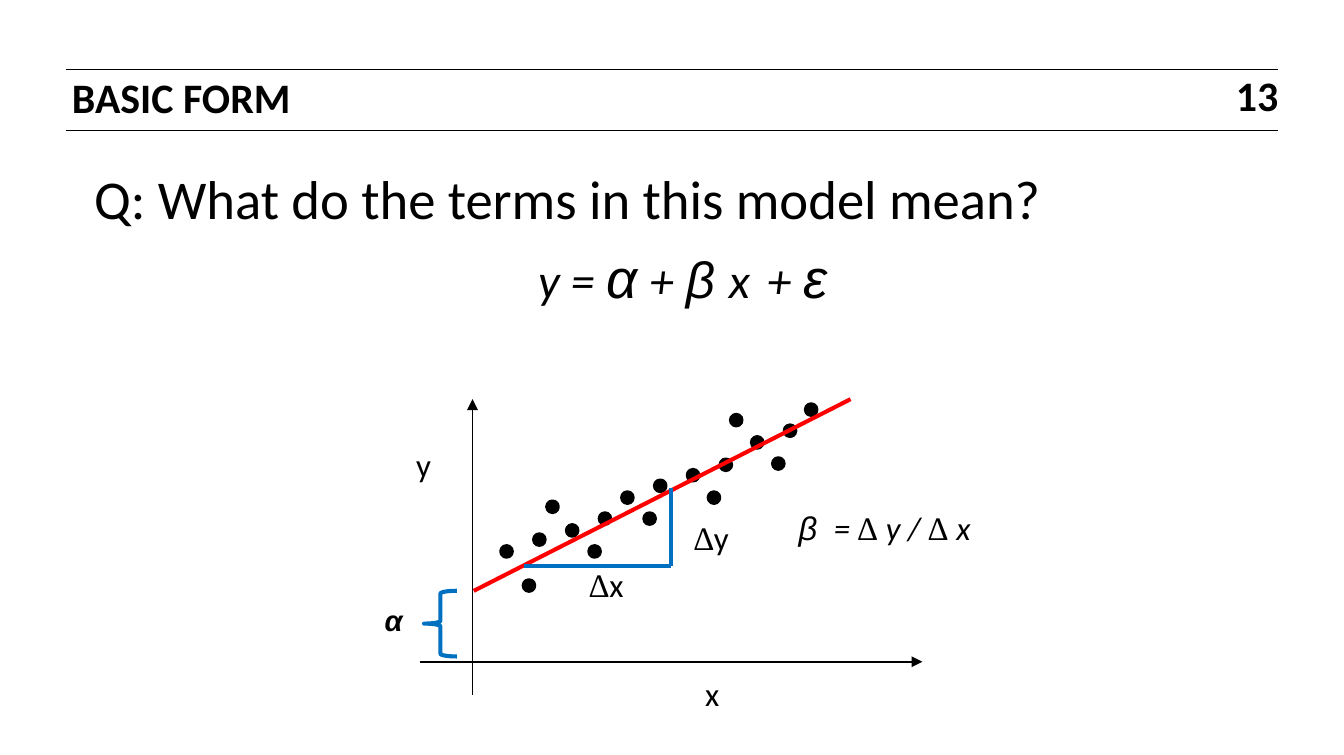
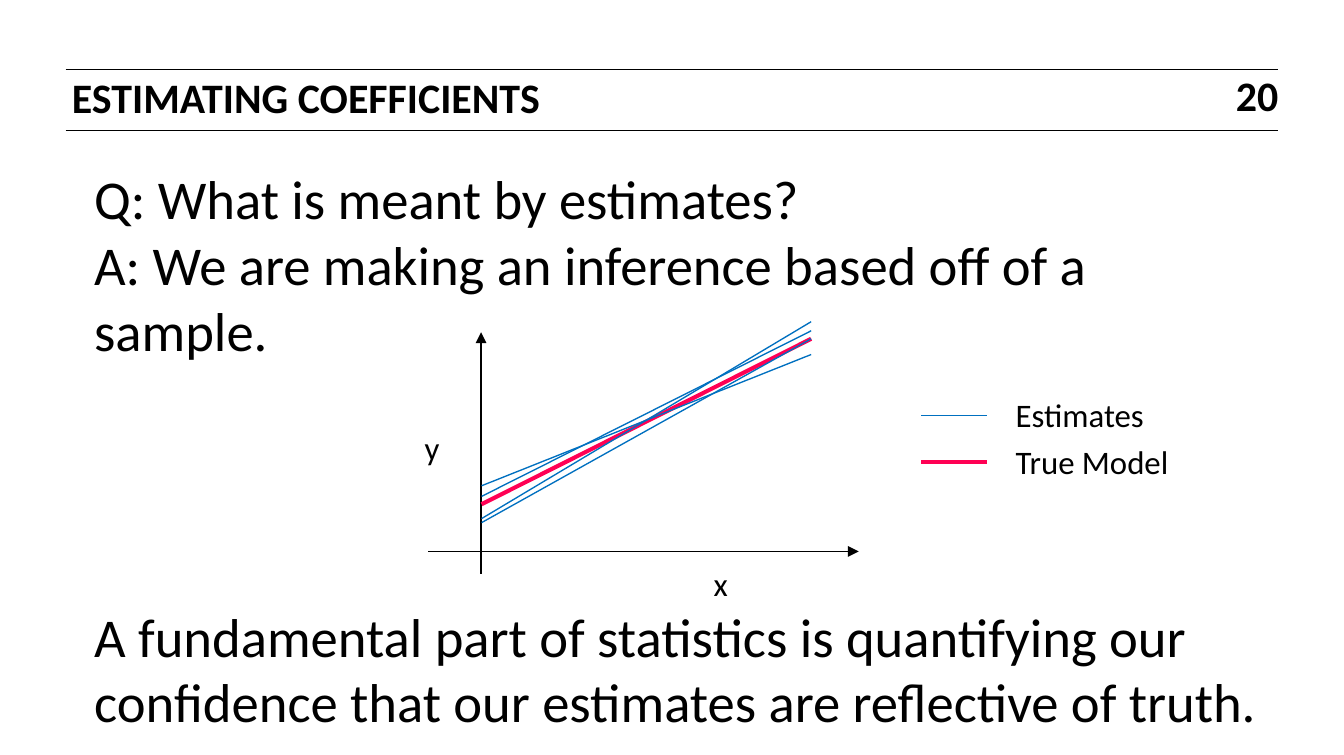
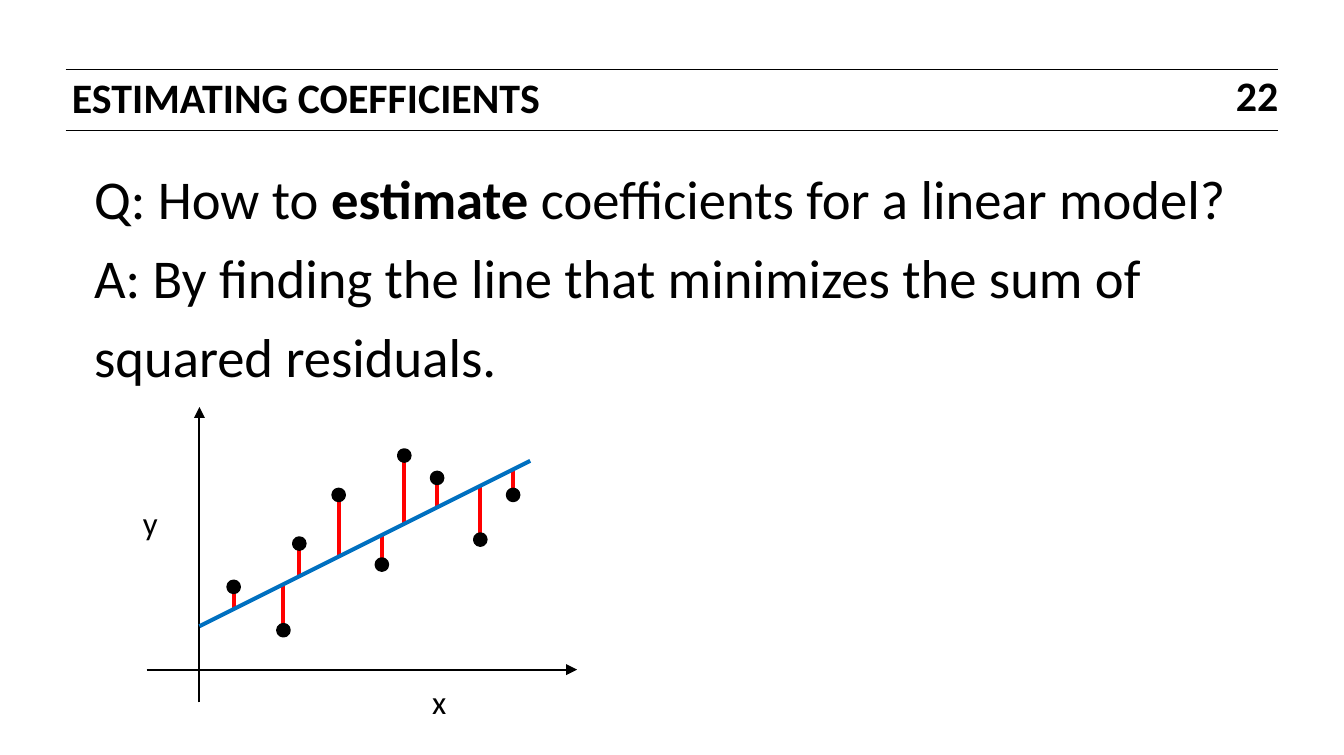
from dataclasses import dataclass

from lxml import etree
from pptx import Presentation
from pptx import util as u
from pptx.dml import color
from pptx.enum import shapes, text
from pptx.oxml import ns

Pt = u.Pt
MID, RIGHT = text.PP_ALIGN.CENTER, text.PP_ALIGN.RIGHT


@dataclass(frozen=True)
class Theme:
    black: str = "000000"
    blue: str = "0070C0"
    red: str = "FF0000"
    pink: str = "FF0054"
    sans: str = "Calibri"
    math: str = "Lato"
    greek: str = "Arial"
    delta: str = "Times New Roman"
    head: float = 23
    body: float = 30
    term: float = 25
    beta: float = 28
    label: float = 18
    alpha: float = 16
    hair: float = 0.5
    thin: float = 0.75
    axis: float = 1
    ring: float = 2
    bold: float = 2.25


T = Theme()


def rgb(code):
    return color.RGBColor.from_string(code)


def apply(item, form):
    for key, value in form.items():
        setattr(item, key, value)


def style(size, name=T.sans, **more):
    return {"size": Pt(size), "name": name, **more}


BODY, LABEL = style(T.body), style(T.label)
HEAD = style(T.head, bold=True)
DELTA = style(T.label, T.delta)


def write(slide, box, *paras):
    shape = slide.shapes.add_textbox(*map(Pt, box))
    frame = shape.text_frame
    frame.word_wrap = True
    for n, (form, runs) in enumerate(paras):
        para = frame.paragraphs[0] if n == 0 else frame.add_paragraph()
        apply(para, form)
        for words, font, *gap in runs:
            run = para.add_run()
            run.text = words
            apply(run.font, font)
            run.font.color.rgb = rgb(T.black)
            if gap:
                run._r.get_or_add_rPr().set("spc", str(gap[0] * 100))
    return frame


def label(slide, x, y, width, *runs, align=MID):
    write(slide, (x, y, width, 29), ({"alignment": align}, runs))


def line(slide, start, end, tone=T.black, width=T.bold, arrow=False):
    kind = shapes.MSO_CONNECTOR.STRAIGHT
    link = slide.shapes.add_connector(kind, *map(Pt, start + end))
    link.line.color.rgb = rgb(tone)
    link.line.width = Pt(width)
    props = link._element.spPr
    if arrow:
        stroke = props.find(ns.qn("a:ln"))
        etree.SubElement(stroke, ns.qn("a:tailEnd"), type="triangle")
    etree.SubElement(props, ns.qn("a:effectLst"))


def dots(slide, spots):
    for x, y in spots:
        dot = slide.shapes.add_shape(
            shapes.MSO_SHAPE.OVAL, Pt(x - 3), Pt(y - 3), Pt(6), Pt(6))
        dot.shadow.inherit = False
        dot.fill.solid()
        dot.fill.fore_color.rgb = rgb(T.black)
        dot.line.color.rgb = rgb(T.black)
        dot.line.width = Pt(T.ring)


def axes(slide, x, y, top, span, drop, mark):
    line(slide, (x, y + drop), (x, top), width=T.axis, arrow=True)
    line(slide, (x - 29, y), (x - 29 + span, y), width=T.axis, arrow=True)
    label(slide, x + 118, y + 3, 27, ("x", LABEL))
    label(slide, x - 40.4, mark, 27, ("y", LABEL))


def page(deck, title, number):
    slide = deck.slides.add_slide(deck.slide_layouts[6])
    for y in (38.2, 71.3):
        line(slide, (36, y), (701.3, y), width=T.hair)
    write(slide, (32.4, 38.9, 504, 23.8),
          ({"line_spacing": Pt(24.5)}, [(title, HEAD)]))
    frame = write(slide, (641.3, 41.8, 60, 24.5),
                  ({"alignment": RIGHT, "line_spacing": Pt(23)},
                   [(number, HEAD)]))
    apply(frame, {"margin_right": 0, "margin_top": Pt(2.9),
                  "margin_bottom": Pt(2.9),
                  "vertical_anchor": text.MSO_ANCHOR.MIDDLE})
    return slide


def body(slide, *paras, top=87.1):
    write(slide, (44.6, top, 660.2, 80), *paras)


def basic(deck):
    slide = page(deck, "BASIC FORM", "13")
    term = style(T.term, T.math, italic=True)
    greek = style(T.body, T.greek, italic=True)
    body(slide,
         ({}, [("Q: What do the terms in this model mean?", BODY)]),
         ({"alignment": MID, "line_spacing": 1.2},
          [("y = ", term), ("α", greek), (" + ", term),
           ("β ", style(T.beta, T.greek, italic=True)),
           ("x", term, 3), (" + ", term), ("ε", greek)]))
    axes(slide, 259.2, 362.9, 218.9, 275.8, 18, 240.5)
    dots(slide, [
        (277.9, 302.4), (290.2, 321.1), (295.9, 295.9), (313.9, 290.9),
        (326.2, 302.4), (331.9, 284.4), (344.2, 272.9), (356.4, 284.4),
        (362.2, 266.4), (380.2, 260.6), (391.7, 272.9), (398.2, 254.9),
        (303.1, 277.9), (415.4, 242.6), (427, 254.2), (433.4, 236.2),
        (445, 224.6), (403.9, 230.4)])
    line(slide, (466.6, 218.9), (259.9, 324), T.red)
    brace = slide.shapes.add_shape(
        shapes.MSO_SHAPE.LEFT_BRACE, Pt(232.6), Pt(324), Pt(18), Pt(36))
    brace.shadow.inherit = False
    brace.fill.background()
    brace.line.color.rgb = rgb(T.blue)
    brace.line.width = Pt(T.bold)
    label(slide, 198, 326.9, 36,
          ("α", style(T.alpha, T.greek, bold=True, italic=True)))
    corner = (368, 310.3)
    for end in ((368, 267.8), (287.3, 310.3)):
        line(slide, end, corner, T.blue)
    slant = style(T.label, italic=True)
    label(slide, 420.3, 275, 130,
          ("β ", style(T.label, T.greek, italic=True), 2), ("= ", slant),
          ("∆ ", DELTA), ("y / ", slant), ("∆ ", DELTA), ("x", slant))
    for x, y, name in ((312.5, 306, "x"), (370.1, 280.1, "y")):
        label(slide, x, y, 40.3, ("∆", DELTA), (name, LABEL))


def sample(deck):
    slide = page(deck, "ESTIMATING COEFFICIENTS", "20")
    body(slide,
         ({}, [("Q: What is meant by estimates?", BODY)]),
         ({}, [("A: We are making an inference based off of a sample.",
                BODY)]))
    axes(slide, 263.9, 302.4, 182.2, 236.2, 12.2, 231.1)
    left, right = 264.2, 445
    line(slide, (right, 185.8), (left, 276.5), T.pink)
    for end, start in ((181.4, 272.2), (176.4, 284.4),
                       (185.8, 286.6), (194.4, 266.4)):
        line(slide, (right, end), (left, start), T.blue, T.thin)
    for y, name, tone, width in (
            (227.9, "Estimates", T.blue, T.thin),
            (253.4, "True Model", T.pink, T.bold)):
        line(slide, (505.4, y), (541.4, y), tone, width)
        label(slide, 550.1, y - 15, 106.6, (name, LABEL), align=None)
    body(slide,
         ({}, [("A fundamental part of statistics is quantifying our "
                "confidence that our estimates are reflective of truth.",
                BODY)]), top=326.9)


def fit(deck):
    slide = page(deck, "ESTIMATING COEFFICIENTS", "22")
    body(slide,
         ({}, [("Q: How to ", BODY), ("estimate ", {**BODY, "bold": True}),
               ("coefficients for a linear model?", BODY)]),
         ({"line_spacing": 1.2},
          [("A: By finding the line that minimizes the sum of "
            "squared residuals.", BODY)]))
    start, end = (109.4, 343.4), (290.9, 252.7)
    slope = (end[1] - start[1]) / (end[0] - start[0])
    spots = [(128.2, 321.8), (155.5, 345.6), (209.5, 309.6),
             (164.2, 298.1), (185.8, 271.4), (239.8, 262.1),
             (263.5, 295.9), (281.5, 271.4), (221.8, 249.8)]
    for x, y in spots:
        line(slide, (x, y), (x, start[1] + slope * (x - start[0])), T.red)
    axes(slide, 109.4, 367.2, 223.2, 236.2, 18, 272.2)
    dots(slide, spots)
    line(slide, end, start, T.blue)


def main():
    deck = Presentation()
    apply(deck, {"slide_width": Pt(737.28), "slide_height": Pt(414)})
    for build in (basic, sample, fit):
        build(deck)
    deck.save("out.pptx")


if __name__ == "__main__":
    main()
